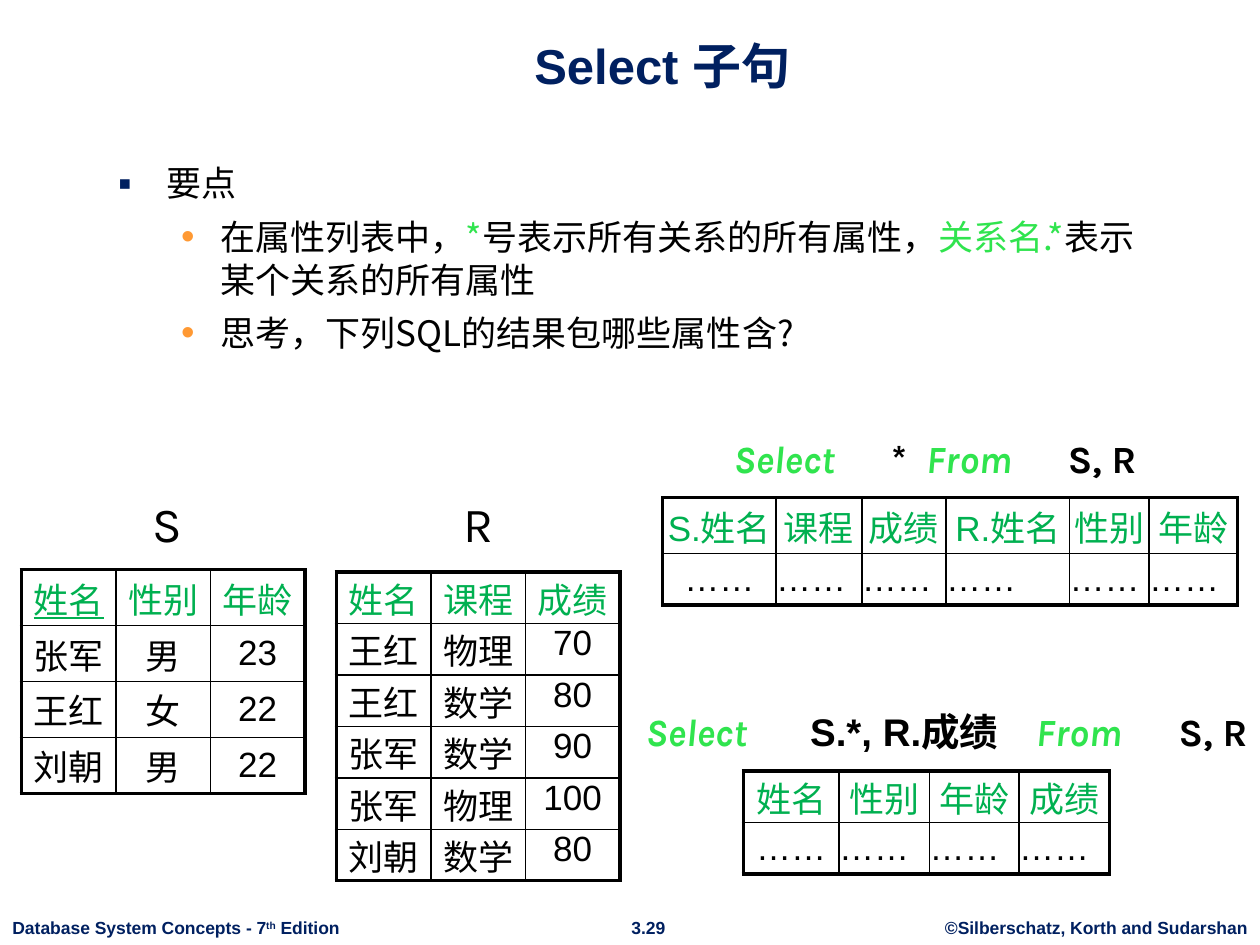
"""Build the slide on the SQL select clause with its example relations."""
from lxml.etree import SubElement
from pptx import Presentation
from pptx.dml.color import RGBColor as Rgb
from pptx.enum.text import MSO_ANCHOR as Anchor, PP_ALIGN as Align
from pptx.oxml import parse_xml
from pptx.oxml.ns import nsdecls, qn
from pptx.util import Pt

COLORS = {"navy": "002060", "black": "000000", "lime": "30E44E",
          "green": "00B050", "orange": "FF9933", "white": "FFFFFF"}
CJK = "Noto Sans CJK SC"

FOOTERS = [
    (0, 202.3, Align.LEFT, [("Database System Concepts - 7", {}),
                            ("th", {"baseline": 30000}), (" Edition", {})]),
    (352.8, 35.3, Align.CENTER, [("3.29", {})]),
    (532.8, 187.2, Align.CENTER, [("©Silberschatz, Korth and Sudarshan", {})]),
]
LIME = {"color": "lime"}
POINTS = [
    (0, [("要点", {})]),
    (1, [("在属性列表中，", {}), ("*", LIME), ("号表示所有关系的所有属性，", {}),
         ("关系名.*", LIME), ("表示某个关系的所有属性", {})]),
    (1, [("思考，下列SQL的结果包哪些属性含?", {})]),
]
BULLETS = [("▪", "navy", 27.4, -27.4), ("•", "orange", 58.3, -22.3)]
RELATION_NAMES = [("S", 79.9, 30.2), ("R", 228.2, 90)]

KEYWORD = {"color": "lime", "italic": True}
QUERIES = [
    (354.2, 241.2, 65, (90, 110, 191),
     [("Select\t", KEYWORD), ("*\t", {}), ("From\t", KEYWORD), ("S, R", {})]),
    (360, 397.4, 9, (94, 223, 304.5),
     [("Select\t", KEYWORD), ("S.*, R.成绩\t", {"font": "Arial"}),
      ("From\t", KEYWORD), ("S, R", {})]),
]
DOTS = "……"
RELATIONS = [
    {"at": (12.2, 325.6), "widths": [54] * 3, "heights": [32] * 4,
     "insets": (2.9, 1.4, 2.9, 1.4), "anchor": Anchor.MIDDLE, "key": "姓名",
     "rows": [["姓名", "性别", "年龄"], ["张军", "男", "23"],
              ["王红", "女", "22"], ["刘朝", "男", "22"]]},
    {"at": (378.7, 284.4), "widths": [64.8, 49, 48.2, 70.6, 45.4, 50.4],
     "heights": [32, 29.3], "insets": (0, 1.4, 0, 1.4), "anchor": Anchor.MIDDLE,
     "rows": [["S.姓名", "课程", "成绩", "R.姓名", "性别", "年龄"], [DOTS] * 6]},
    {"at": (192.2, 326.9), "widths": [54] * 3, "heights": [29.4] * 6,
     "insets": (2.9, 0.4, 2.9, 0), "anchor": Anchor.TOP,
     "rows": [["姓名", "课程", "成绩"], ["王红", "物理", "70"],
              ["王红", "数学", "80"], ["张军", "数学", "90"],
              ["张军", "物理", "100"], ["刘朝", "数学", "80"]]},
    {"at": (424.8, 440.6), "widths": [54.7, 51.8, 51.1, 51.8],
     "heights": [29.4] * 2, "insets": (0, 0.4, 0, 0), "anchor": Anchor.MIDDLE,
     "rows": [["姓名", "性别", "年龄", "成绩"], [DOTS] * 4]},
]


def write(paragraph, pieces, **common):
    for words, changes in pieces:
        look = {"color": "black", "font": "Arial", **common, **changes}
        run = paragraph.add_run()
        run.text = words
        font = run.font
        font.size, font.name = Pt(look["size"]), look["font"]
        font.bold, font.italic = look.get("bold", False), look.get("italic", False)
        font.underline = look.get("underline", False)
        font.color.rgb = Rgb.from_string(COLORS[look["color"]])
        props = run._r.get_or_add_rPr()
        if "baseline" in look:
            props.set("baseline", str(look["baseline"]))
        SubElement(props, qn("a:ea")).set("typeface", look.get("asian", CJK))


def add_box(slide, left, top, width, height, wrap=True):
    frame = slide.shapes.add_textbox(Pt(left), Pt(top), Pt(width), Pt(height)).text_frame
    frame.word_wrap = wrap
    return frame


def add_bullet(paragraph, level):
    mark, color, margin, indent = BULLETS[level]
    props = paragraph._p.get_or_add_pPr()
    props.set("marL", str(Pt(margin)))
    props.set("indent", str(Pt(indent)))
    tint = SubElement(props, qn("a:buClr"))
    SubElement(tint, qn("a:srgbClr")).set("val", COLORS[color])
    SubElement(props, qn("a:buSzPct")).set("val", "110000")
    SubElement(props, qn("a:buFont")).set("typeface", "Arial")
    SubElement(props, qn("a:buChar")).set("char", mark)


def add_points(slide):
    frame = add_box(slide, 60.5, 88.4, 607, 384)
    for number, (level, pieces) in enumerate(POINTS):
        paragraph = frame.add_paragraph() if number else frame.paragraphs[0]
        paragraph.level = level
        add_bullet(paragraph, level)
        paragraph.line_spacing = Pt(24.5)
        if number:
            paragraph.space_before = Pt(6)
        write(paragraph, pieces, size=20, font=CJK)


def add_query(slide, left, top, inset, stops, pieces):
    frame = add_box(slide, left, top, 360, 37.4)
    frame.margin_left, frame.margin_right = Pt(inset), 0
    paragraph = frame.paragraphs[0]
    tabs = SubElement(paragraph._p.get_or_add_pPr(), qn("a:tabLst"))
    for stop in stops:
        tab = SubElement(tabs, qn("a:tab"))
        tab.set("pos", str(Pt(stop)))
        tab.set("algn", "l")
    paragraph.line_spacing = Pt(30)
    write(paragraph, pieces, size=22, font="Karla", bold=True)


def set_borders(cell, outer_sides):
    props = cell._tc.get_or_add_tcPr()
    for place, (side, outer) in enumerate(zip("LRTB", outer_sides)):
        props.insert(place, parse_xml(
            f'<a:ln{side} {nsdecls("a")} w="{Pt(2.25 if outer else 1)}"><a:solidFill>'
            f'<a:srgbClr val="{COLORS["black"]}"/></a:solidFill></a:ln{side}>'))


def add_relation(slide, relation):
    rows, widths, heights = (relation[part] for part in ("rows", "widths", "heights"))
    left, top = relation["at"]
    table = slide.shapes.add_table(len(rows), len(widths), Pt(left), Pt(top),
                                   Pt(sum(widths)), Pt(sum(heights))).table
    table.first_row = table.horz_banding = False
    for column, width in zip(table.columns, widths):
        column.width = Pt(width)
    for row, height in zip(table.rows, heights):
        row.height = Pt(height)
    for r, row in enumerate(rows):
        for c, value in enumerate(row):
            cell = table.cell(r, c)
            (cell.margin_left, cell.margin_top,
             cell.margin_right, cell.margin_bottom) = map(Pt, relation["insets"])
            cell.vertical_anchor = relation["anchor"]
            if r == 0:
                cell.fill.solid()
                cell.fill.fore_color.rgb = Rgb.from_string(COLORS["white"])
            else:
                cell.fill.background()
            set_borders(cell, (c == 0, c == len(row) - 1, r == 0, r == len(rows) - 1))
            paragraph = cell.text_frame.paragraphs[0]
            paragraph.alignment = Align.LEFT if value == DOTS and c else Align.CENTER
            write(paragraph, [(value, {})], size=20,
                  color="black" if r else "green",
                  underline=r == 0 and value == relation.get("key"),
                  asian="Arial" if value == DOTS else CJK)


def main():
    deck = Presentation()
    deck.slide_width, deck.slide_height = Pt(720), Pt(540)
    slide = deck.slides.add_slide(deck.slide_layouts[6])
    for left, width, alignment, pieces in FOOTERS:
        paragraph = add_box(slide, left, 520.6, width, 19.4, wrap=False).paragraphs[0]
        paragraph.alignment = alignment
        write(paragraph, pieces, size=10, color="navy", bold=True)
    title = add_box(slide, 60.5, 9.4, 635.8, 48.2)
    title.vertical_anchor = Anchor.BOTTOM
    title.paragraphs[0].alignment = Align.CENTER
    write(title.paragraphs[0], [("Select 子句", {})], size=28, color="navy", bold=True)
    add_points(slide)
    for relation in RELATIONS:
        add_relation(slide, relation)
    for name, left, width in RELATION_NAMES:
        paragraph = add_box(slide, left, 278.6, width, 41).paragraphs[0]
        paragraph.alignment = Align.CENTER
        write(paragraph, [(name, {})], size=28, font="Karla")
    for query in QUERIES:
        add_query(slide, *query)
    deck.save("out.pptx")


if __name__ == "__main__":
    main()
